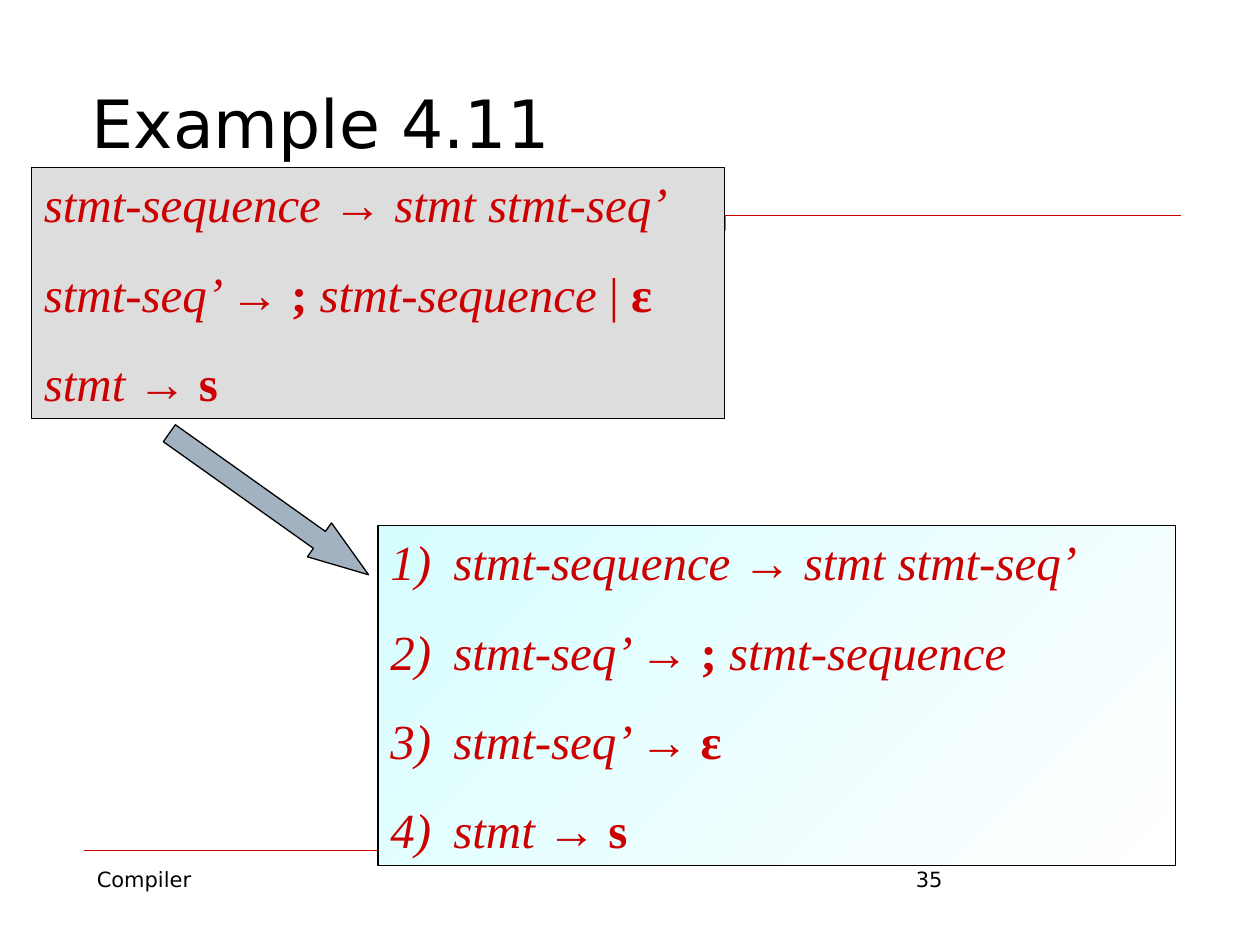
"""Build the Example 4.11 slide: a grammar and its numbered productions."""
import lxml.etree
import pptx
import pptx.dml.color
import pptx.enum.shapes
import pptx.enum.text
import pptx.oxml.ns
import pptx.util

Inches = pptx.util.Inches
RGBColor = pptx.dml.color.RGBColor
SHAPE = pptx.enum.shapes.MSO_SHAPE
ANCHOR = pptx.enum.text.MSO_ANCHOR

RED = RGBColor(0xCC, 0x00, 0x00)
BLACK = RGBColor(0x00, 0x00, 0x00)
WHITE = RGBColor(0xFF, 0xFF, 0xFF)
GREY = RGBColor(0xDD, 0xDD, 0xDD)
CYAN = RGBColor(0xD6, 0xFD, 0xFE)
STEEL = RGBColor(0xA3, 0xB2, 0xC1)

LABEL_FONT = "DejaVu Sans"
GRAMMAR_FONT = "Times New Roman"

ITALIC, BOLD, PLAIN = "italic", "bold", "plain"
SEQUENCE = [("stmt-sequence → stmt stmt-seq’", ITALIC)]
SEQ_TAIL = [("stmt-seq’ → ", ITALIC), ("; ", BOLD), ("stmt-sequence", ITALIC)]
EPSILON = ("ε", BOLD)
STMT = [("stmt →", ITALIC), (" s", BOLD)]
GRAMMAR = [SEQUENCE, SEQ_TAIL + [(" | ", PLAIN), EPSILON], STMT]
PRODUCTIONS = [SEQUENCE, SEQ_TAIL, [SEQ_TAIL[0], EPSILON], STMT]


def add_child(parent, tag, **attributes):
    return lxml.etree.SubElement(parent, pptx.oxml.ns.qn(tag), attributes)


def add_rule(slide, left, right, top, weight):
    rule = slide.shapes.add_connector(
        pptx.enum.shapes.MSO_CONNECTOR.STRAIGHT,
        Inches(left), Inches(top), Inches(right), Inches(top))
    rule.line.color.rgb = RED
    rule.line.width = pptx.util.Pt(weight)
    add_child(rule._element.spPr, "a:effectLst")


def add_label(slide, text, place, size, anchor=ANCHOR.TOP):
    frame = slide.shapes.add_textbox(*map(Inches, place)).text_frame
    frame.word_wrap = True
    frame.vertical_anchor = anchor
    frame.text = text
    font = frame.paragraphs[0].runs[0].font
    font.name = LABEL_FONT
    font.size = pptx.util.Pt(size)
    font.color.rgb = BLACK


def add_outlined(slide, kind, place):
    shape = slide.shapes.add_shape(kind, *map(Inches, place))
    shape.shadow.inherit = False
    shape.line.color.rgb = BLACK
    shape.line.width = pptx.util.Pt(0.75)
    return shape


def number_paragraph(paragraph):
    properties = paragraph._p.get_or_add_pPr()
    properties.set("marL", str(Inches(0.5)))
    properties.set("indent", str(Inches(-0.5)))
    add_child(add_child(properties, "a:buClr"), "a:srgbClr", val=str(RED))
    add_child(properties, "a:buAutoNum", type="arabicParenR")


def add_rules_box(slide, place, rules, numbered=False):
    box = add_outlined(slide, SHAPE.RECTANGLE, place)
    frame = box.text_frame
    frame.word_wrap = True
    frame.vertical_anchor = ANCHOR.TOP
    for index, rule in enumerate(rules):
        paragraph = frame.add_paragraph() if index else frame.paragraphs[0]
        paragraph.alignment = pptx.enum.text.PP_ALIGN.LEFT
        if index:
            paragraph.space_before = pptx.util.Pt(17.5)
        if numbered:
            number_paragraph(paragraph)
        for text, style in rule:
            run = paragraph.add_run()
            run.text = text
            run.font.name = GRAMMAR_FONT
            run.font.size = pptx.util.Pt(28)
            run.font.color.rgb = RED
            run.font.italic = style == ITALIC
            run.font.bold = style == BOLD
    return box


def fill_solid(shape, color):
    shape.fill.solid()
    shape.fill.fore_color.rgb = color


def fill_diagonal(shape, start, end):
    shape.fill.gradient()
    shape.fill.gradient_angle = 315
    for stop, color, position in zip(shape.fill.gradient_stops, (start, end), (0, 1)):
        stop.color.rgb = color
        stop.position = position


def add_title_bar(slide):
    bar = slide.shapes.add_shape(
        SHAPE.RECTANGLE, Inches(0.67), Inches(1.71), Inches(5.09), Inches(0.12))
    bar.shadow.inherit = False
    fill_solid(bar, RED)
    bar.line.fill.background()
    add_rule(slide, 0.67, 9.37, 1.71, 0.75)


def add_arrow(slide):
    arrow = add_outlined(slide, SHAPE.DOWN_ARROW, (1.97, 3.03, 0.33, 1.94))
    fill_solid(arrow, STEEL)
    arrow.adjustments[0] = 0.5
    arrow.adjustments[1] = 1.45
    arrow.rotation = 305.4


def main():
    deck = pptx.Presentation()
    deck.slide_width, deck.slide_height = Inches(10), Inches(7.5)
    slide = deck.slides.add_slide(deck.slide_layouts[6])
    add_title_bar(slide)
    add_rule(slide, 0.67, 9.33, 6.75, 0.25)
    add_label(slide, "Compiler", (0.67, 6.83, 2.17, 0.52), 12)
    add_label(slide, "35", (7.17, 6.83, 2.17, 0.52), 12)
    add_label(slide, "Example 4.11", (0.63, 0, 8.75, 1.33), 38, ANCHOR.BOTTOM)
    fill_solid(add_rules_box(slide, (0.25, 1.33, 5.5, 1.99), GRAMMAR), GREY)
    productions = add_rules_box(slide, (3, 4.17, 6.33, 2.7), PRODUCTIONS, numbered=True)
    fill_diagonal(productions, CYAN, WHITE)
    add_arrow(slide)
    deck.save("out.pptx")


if __name__ == "__main__":
    main()
